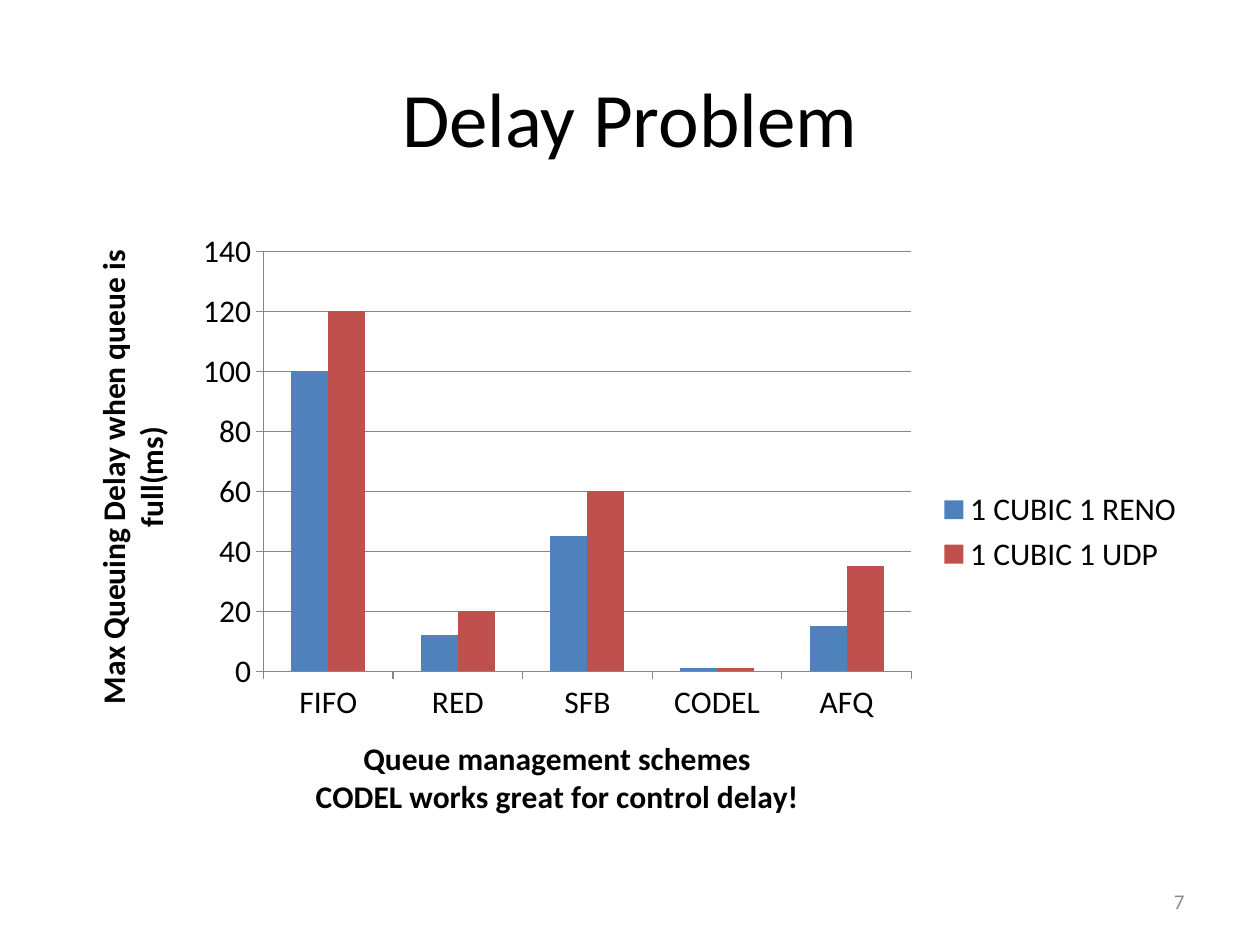
from dataclasses import dataclass

from pptx import Presentation
from pptx.chart.axis import _BaseAxis
from pptx.chart.chart import Chart
from pptx.chart.data import CategoryChartData
from pptx.dml.color import RGBColor
from pptx.enum.chart import XL_CHART_TYPE, XL_LEGEND_POSITION, XL_TICK_MARK
from pptx.enum.text import MSO_ANCHOR, PP_ALIGN
from pptx.slide import Slide
from pptx.text.text import Font
from pptx.util import Emu, Pt

COLUMNS = XL_CHART_TYPE.COLUMN_CLUSTERED
LEGEND_RIGHT = XL_LEGEND_POSITION.RIGHT
TICK_OUT, TICK_NONE = XL_TICK_MARK.OUTSIDE, XL_TICK_MARK.NONE
MIDDLE = MSO_ANCHOR.MIDDLE
CENTER, RIGHT = PP_ALIGN.CENTER, PP_ALIGN.RIGHT

BLACK = RGBColor(0x00, 0x00, 0x00)
GRAY = RGBColor(0x8C, 0x8C, 0x8C)
AXIS_GRAY = RGBColor(0x86, 0x86, 0x86)
BLUE = RGBColor(0x4F, 0x81, 0xBD)
RED = RGBColor(0xC0, 0x50, 0x4D)

FONT = "Calibri"
EMU_PER_PIXEL = 914400 / 126


@dataclass
class Area:
    """A rectangle in pixels."""
    left: int
    top: int
    width: int
    height: int

    def emu(self) -> list[Emu]:
        """Return left, top, width and height in EMU."""
        return [px(n) for n in (self.left, self.top, self.width, self.height)]


@dataclass
class Label:
    """A single line of text on the slide."""
    text: str
    area: Area
    size: int
    color: RGBColor
    align: PP_ALIGN


@dataclass
class Series:
    """One set of columns."""
    name: str
    values: tuple[int, ...]
    color: RGBColor


LABELS = [
    Label("Delay Problem", Area(63, 38, 1134, 157), 44, BLACK, CENTER),
    Label("7", Area(903, 876, 294, 50), 12, GRAY, RIGHT),
]
CHART_AREA = Area(63, 220, 1134, 624)
SCHEMES = ("FIFO", "RED", "SFB", "CODEL", "AFQ")
DELAYS = [
    Series("1 CUBIC 1 RENO", (100, 12, 45, 1, 15), BLUE),
    Series("1 CUBIC 1 UDP", (120, 20, 60, 1, 35), RED),
]
SCHEME_TITLE = ("Queue management schemes", "CODEL works great for control delay!")
DELAY_TITLE = ("Max Queuing Delay when queue is full(ms)",)


def px(pixels: int) -> Emu:
    """Turn pixels into EMU."""
    return Emu(round(pixels * EMU_PER_PIXEL))


def set_all(target: object, formats: dict) -> None:
    """Set every attribute named in the dict."""
    for name, value in formats.items():
        setattr(target, name, value)


def style_font(font: Font, size: int, color: RGBColor = BLACK, bold: bool = False) -> None:
    """Give a font its face, size, weight and colour."""
    set_all(font, {"name": FONT, "size": Pt(size), "bold": bold})
    font.color.rgb = color


def add_label(page: Slide, label: Label) -> None:
    """Draw a text box with one paragraph."""
    frame = page.shapes.add_textbox(*label.area.emu()).text_frame
    set_all(frame, {"word_wrap": True, "vertical_anchor": MIDDLE})
    para = frame.paragraphs[0]
    para.alignment = label.align
    span = para.add_run()
    span.text = label.text
    style_font(span.font, label.size, label.color)


def style_axis(axis: _BaseAxis, title: tuple[str, ...], gridlines: bool) -> None:
    """Set the title, ticks and lines of an axis."""
    set_all(axis, {"major_tick_mark": TICK_OUT, "minor_tick_mark": TICK_NONE,
                   "has_major_gridlines": gridlines})
    lines = [axis.format.line]
    if gridlines:
        lines.append(axis.major_gridlines.format.line)
    for line in lines:
        line.color.rgb = AXIS_GRAY
        line.width = Pt(0.75)
    frame = axis.axis_title.text_frame
    for index, text in enumerate(title):
        para = frame.add_paragraph() if index else frame.paragraphs[0]
        span = para.add_run()
        span.text = text
        style_font(span.font, 18, bold=True)


def add_delay_chart(page: Slide) -> Chart:
    """Draw the clustered columns with their axes and legend."""
    data = CategoryChartData()
    data.categories = SCHEMES
    for series in DELAYS:
        data.add_series(series.name, series.values)
    chart = page.shapes.add_chart(COLUMNS, *CHART_AREA.emu(), data).chart
    style_font(chart.font, 18)
    set_all(chart, {"has_title": False, "has_legend": True})
    set_all(chart.legend, {"position": LEGEND_RIGHT, "include_in_layout": False})
    set_all(chart.plots[0], {"gap_width": 150, "overlap": 0, "vary_by_categories": False})
    for drawn, series in zip(chart.plots[0].series, DELAYS):
        drawn.format.fill.solid()
        drawn.format.fill.fore_color.rgb = series.color
    style_axis(chart.category_axis, SCHEME_TITLE, gridlines=False)
    style_axis(chart.value_axis, DELAY_TITLE, gridlines=True)
    set_all(chart.value_axis, {"minimum_scale": 0, "maximum_scale": 140, "major_unit": 20})
    return chart


def main() -> None:
    """Build the slide and save it."""
    deck = Presentation()
    set_all(deck, {"slide_width": px(1260), "slide_height": px(945)})
    page = deck.slides.add_slide(deck.slide_layouts[6])
    add_delay_chart(page)
    for label in LABELS:
        add_label(page, label)
    deck.save("out.pptx")


main()
